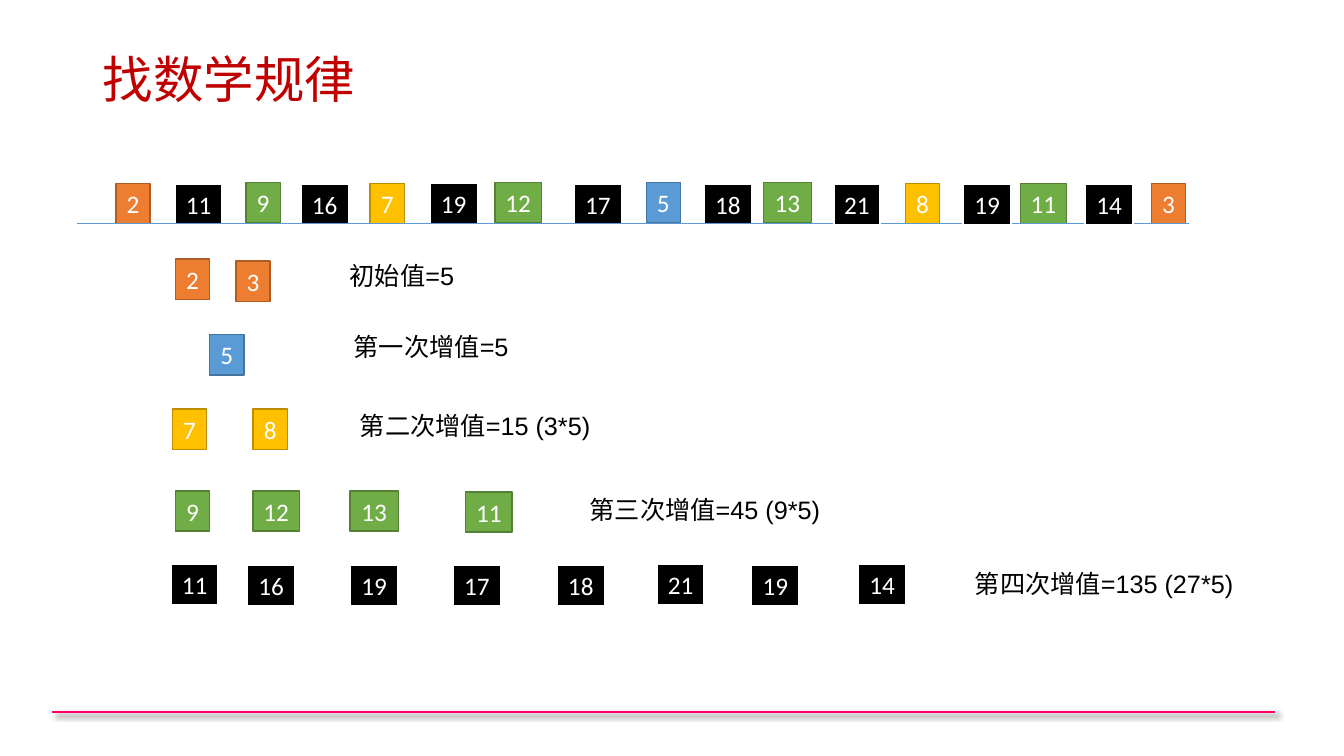
"""Build the slide on finding a number pattern in a growing sequence."""
from lxml.etree import SubElement, fromstring
from pptx import Presentation
from pptx.dml.color import RGBColor
from pptx.enum.shapes import MSO_CONNECTOR, MSO_SHAPE
from pptx.enum.text import MSO_ANCHOR, PP_ALIGN
from pptx.oxml.ns import qn
from pptx.util import Inches, Pt

COLORS = {
    "title": "C00000", "text": "000000", "number": "FFFFFF",
    "axis": "5B9BD5", "footer": "FF0066",
}
STYLES = {
    "start": {"fill": "ED7D31", "line": "AF5C24", "width": 1},
    "first": {"fill": "5B9BD5", "line": "43739E", "width": 1},
    "second": {"fill": "FFC000", "line": "BD8E00", "width": 1},
    "third": {"fill": "70AD47", "line": "538035", "width": 1},
    "fourth": {"fill": "000000", "line": "FFFFFF", "width": 1.5},
}
NARROW_PAIRS = (11, 12, 21)
BOX_HEIGHT = 0.4
DRAWING = "http://schemas.openxmlformats.org/drawingml/2006/main"
FOOTER_SHADOW = (
    f'<a:effectLst xmlns:a="{DRAWING}"><a:outerShdw blurRad="50800" dist="38100" '
    'dir="2700000" algn="tl" rotWithShape="0"><a:srgbClr val="000000">'
    '<a:alpha val="40000"/></a:srgbClr></a:outerShdw></a:effectLst>'
)
NO_SHADOW = f'<a:effectLst xmlns:a="{DRAWING}"/>'

presentation = Presentation()
presentation.slide_width = Inches(13.33)
presentation.slide_height = Inches(7.5)
slide = presentation.slides.add_slide(presentation.slide_layouts[5])


def write(shape, text, size, font_name, color, alignment, wrap, anchor):
    """Put one formatted line of text into a shape."""
    frame = shape.text_frame
    for name, value in {"word_wrap": wrap, "vertical_anchor": anchor}.items():
        setattr(frame, name, value)
    paragraph = frame.paragraphs[0]
    paragraph.alignment = alignment
    run = paragraph.add_run()
    run.text = text
    for name, value in {"size": Pt(size), "name": font_name, "bold": False}.items():
        setattr(run.font, name, value)
    run.font.color.rgb = RGBColor.from_string(COLORS[color])
    SubElement(run.font._element, qn("a:ea")).set("typeface", font_name)
    return paragraph


def add_line(left, right, top, color, width, effect):
    """Draw a horizontal line with the given effect list."""
    line = slide.shapes.add_connector(
        MSO_CONNECTOR.STRAIGHT, Inches(left), Inches(top), Inches(right), Inches(top))
    line.line.color.rgb = RGBColor.from_string(COLORS[color])
    line.line.width = Pt(width)
    line._element.spPr.append(fromstring(effect))


add_line(0.52, 12.65, 7.06, "footer", 1.5, FOOTER_SHADOW)

title = slide.shapes.title
for name, value in {"left": 0.92, "top": 0.4, "width": 11.5, "height": 0.83}.items():
    setattr(title, name, Inches(value))
heading = write(title, "找数学规律", 36, "Noto Sans CJK SC", "title",
                PP_ALIGN.LEFT, True, MSO_ANCHOR.MIDDLE)
heading.line_spacing = 0.9

increment_rows = [
    ("start", [(2, 1.74, 2.57), (3, 2.34, 2.59)]),
    ("first", [(5, 2.08, 3.32)]),
    ("second", [(7, 1.71, 4.06), (8, 2.51, 4.06)]),
    ("third", [(9, 1.74, 4.87), (12, 2.51, 4.87), (13, 3.47, 4.87), (11, 4.62, 4.88)]),
    ("fourth", [(11, 1.7, 5.6), (16, 2.45, 5.61), (19, 3.47, 5.61), (17, 4.49, 5.61),
                (18, 5.52, 5.61), (21, 6.52, 5.6), (19, 7.45, 5.61), (14, 8.51, 5.6)]),
]
sequence_behind_axis = [
    ("start", [(2, 1.15, 1.82), (3, 11.42, 1.82)]),
    ("first", [(5, 6.41, 1.81)]),
    ("second", [(7, 3.67, 1.82), (8, 8.98, 1.82)]),
    ("third", [(9, 2.44, 1.81), (12, 4.91, 1.81), (13, 7.57, 1.81), (11, 10.12, 1.82)]),
    ("fourth", [(11, 1.74, 1.83), (16, 2.98, 1.83), (19, 4.26, 1.82),
                (17, 5.69, 1.83), (18, 6.98, 1.83)]),
]
sequence_over_axis = [("fourth", [(21, 8.27, 1.83), (19, 9.55, 1.83), (14, 10.76, 1.83)])]

for layer in (increment_rows + sequence_behind_axis, sequence_over_axis):
    if layer is sequence_over_axis:
        add_line(0.76, 11.79, 2.22, "axis", 0.5, NO_SHADOW)
    for style_name, boxes in layer:
        style = STYLES[style_name]
        for number, left, top in boxes:
            width = 0.34 if number < 10 else 0.46 if number in NARROW_PAIRS else 0.48
            box = slide.shapes.add_shape(
                MSO_SHAPE.RECTANGLE, Inches(left), Inches(top),
                Inches(width), Inches(BOX_HEIGHT))
            box.shadow.inherit = False
            box.fill.solid()
            box.fill.fore_color.rgb = RGBColor.from_string(style["fill"])
            box.line.color.rgb = RGBColor.from_string(style["line"])
            box.line.width = Pt(style["width"])
            write(box, str(number), 18, "Calibri", "number",
                  PP_ALIGN.CENTER, False, MSO_ANCHOR.MIDDLE)

for text, left, top, width in [
    ("初始值=5", 3.37, 2.53, 1.25),
    ("第一次增值=5", 3.41, 3.24, 1.75),
    ("第二次增值=15 (3*5)", 3.47, 4.02, 2.51),
    ("第三次增值=45 (9*5)", 5.75, 4.86, 2.51),
    ("第四次增值=135 (27*5)", 9.57, 5.59, 2.79),
]:
    label = slide.shapes.add_textbox(
        Inches(left), Inches(top), Inches(width), Inches(BOX_HEIGHT))
    write(label, text, 18, "Arial", "text", PP_ALIGN.LEFT, True, MSO_ANCHOR.TOP)

presentation.save("out.pptx")
